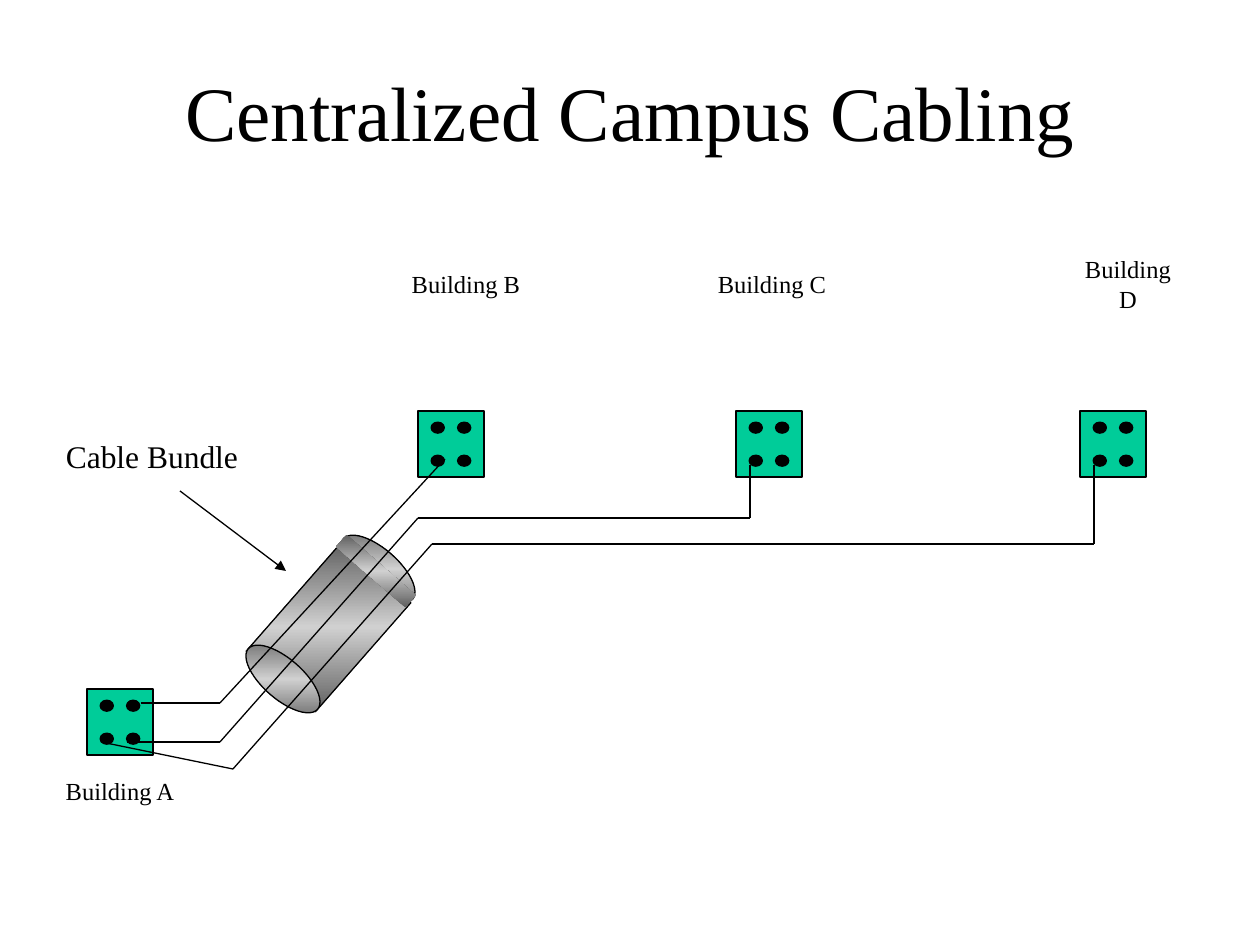
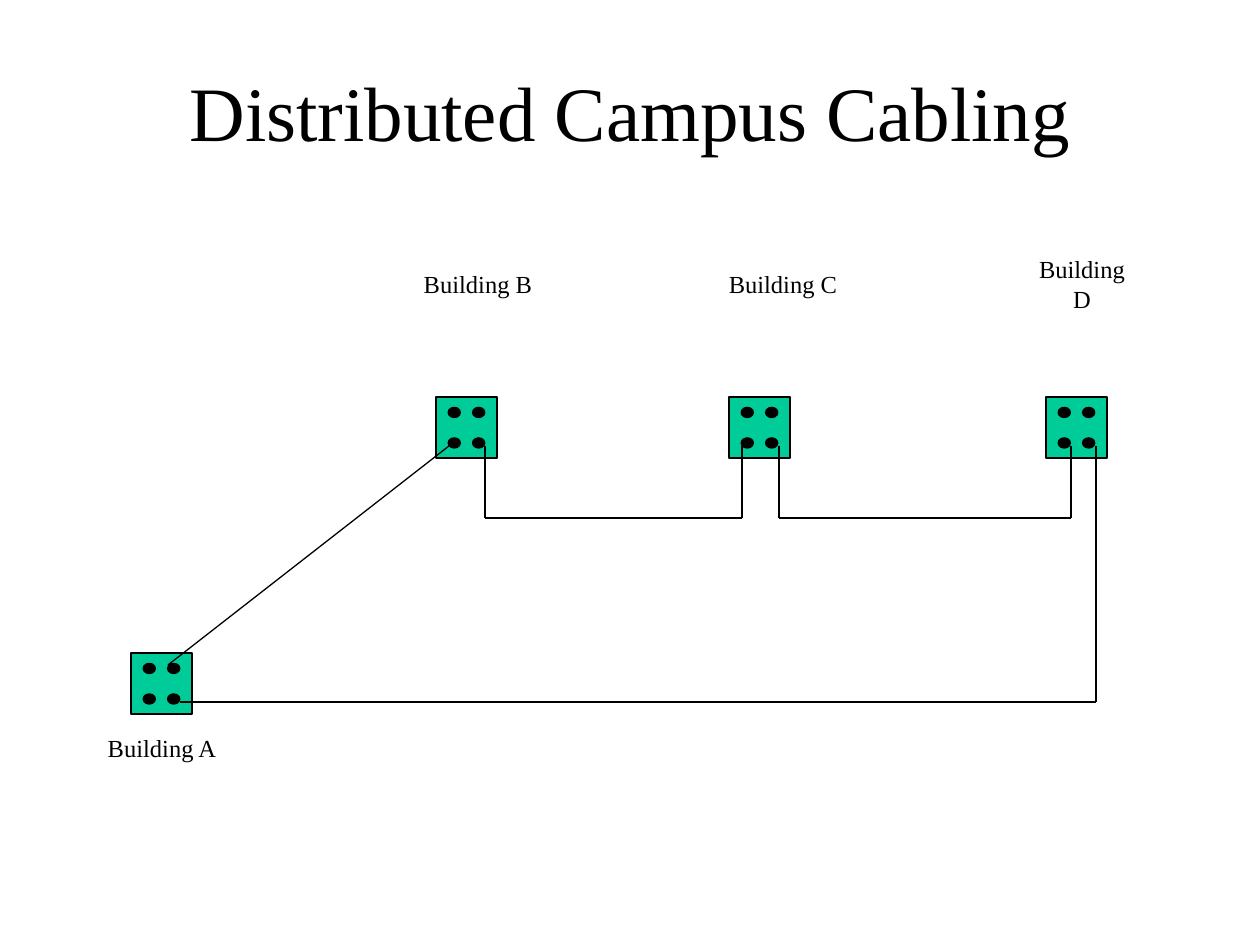
import itertools

import lxml.etree
import pptx
import pptx.dml.color
import pptx.enum.shapes
import pptx.enum.text
import pptx.oxml
import pptx.oxml.ns
import pptx.util

EMU_PER_PX = 914400 / 126
FONT = "Times New Roman"
BLACK, GREEN = "000000", "00CC99"
STEEL_DARK, STEEL_LIGHT = "606060", "D0D0D0"
LINE_WIDTH = pptx.util.Pt(0.75)
SHAPES = pptx.enum.shapes.MSO_SHAPE


def color(hex_string):
    return pptx.dml.color.RGBColor.from_string(hex_string)


def emu(*lengths):
    return [round(length * EMU_PER_PX) for length in lengths]


# Title, box size, then buildings as (letter, box corner, label corner),
# cables as chains of points
SLIDES = [
    {
        "title": "Centralized Campus Cabling",
        "box_size": 66,
        "buildings": [
            ("A", (87, 689), (53, 769)),
            ("B", (418, 411), (399, 262)),
            ("C", (736, 411), (705, 262)),
            ("D", (1080, 411), (1061, 262)),
        ],
        "cables": [
            [(141, 703), (220, 703), (445, 459)],
            [(127, 742), (220, 742), (418, 518), (750, 518), (750, 465)],
            [(101, 742), (233, 769), (432, 544), (1094, 544), (1094, 465)],
        ],
        # Parts as (preset, box, outlined), from back to front
        "bundle": [
            (SHAPES.OVAL, (358, 523, 40, 92), True),
            (SHAPES.RECTANGLE, (256, 581, 145, 92), True),
            (SHAPES.OVAL, (263, 633, 40, 92), True),
            (SHAPES.RECTANGLE, (368, 525, 16, 92), False),
        ],
        "callouts": [("Cable Bundle", (53, 431, 198, 50), 18)],
        "arrows": [[(180, 491), (286, 571)]],
    },
    {
        "title": "Distributed Campus Cabling",
        "box_size": 61,
        "buildings": [
            ("A", (131, 653), (95, 726)),
            ("B", (436, 397), (411, 262)),
            ("C", (729, 397), (716, 262)),
            ("D", (1046, 397), (1015, 262)),
        ],
        "cables": [
            [(168, 665), (449, 446)],
            [(485, 446), (485, 518), (742, 518), (742, 446)],
            [(779, 446), (779, 518), (1071, 518), (1071, 446)],
            [(1096, 446), (1096, 702), (180, 702)],
        ],
        "bundle": [],
        "callouts": [],
        "arrows": [],
    },
]

# Steel gradient that stays level when its shape is turned
STEEL_GRADIENT = (
    f'<a:gradFill {pptx.oxml.ns.nsdecls("a")} rotWithShape="0"><a:gsLst>'
    f'<a:gs pos="0"><a:srgbClr val="{STEEL_DARK}"/></a:gs>'
    f'<a:gs pos="50000"><a:srgbClr val="{STEEL_LIGHT}"/></a:gs>'
    f'<a:gs pos="100000"><a:srgbClr val="{STEEL_DARK}"/></a:gs>'
    '</a:gsLst><a:lin ang="5400000" scaled="0"/></a:gradFill>'
)

deck = pptx.Presentation()
deck.slide_width, deck.slide_height = emu(1260, 945)

for content in SLIDES:
    page = deck.slides.add_slide(deck.slide_layouts[6])

    # Title, building labels and callouts
    texts = [(content["title"], (95, 32, 1071, 158), 44)]
    for letter, corner, label_corner in content["buildings"]:
        texts.append((f"Building {letter}", (*label_corner, 134, 43), 14))
    for text, place, size in texts + content["callouts"]:
        box = page.shapes.add_textbox(*emu(*place))
        box.text_frame.word_wrap = False
        box.text_frame.vertical_anchor = pptx.enum.text.MSO_ANCHOR.MIDDLE
        para = box.text_frame.paragraphs[0]
        para.text = text
        para.alignment = pptx.enum.text.PP_ALIGN.CENTER
        para.font.name = FONT
        para.font.size = pptx.util.Pt(size)
        para.font.color.rgb = color(BLACK)

    # Building boxes, each with two by two ports
    size = content["box_size"]
    solids = []
    for letter, (left, top), label_corner in content["buildings"]:
        solids.append((SHAPES.RECTANGLE, (left, top, size, size), GREEN))
        for across, down in itertools.product((0.2, 0.6), (0.17, 0.67)):
            port = (left + across * size, top + down * size, size / 5, size / 6)
            solids.append((SHAPES.OVAL, port, BLACK))
    for preset, place, fill in solids:
        shape = page.shapes.add_shape(preset, *emu(*place))
        shape.shadow.inherit = False
        shape.fill.solid()
        shape.fill.fore_color.rgb = color(fill)
        shape.line.color.rgb = color(BLACK)
        shape.line.width = LINE_WIDTH

    # Cable bundle
    for preset, place, outlined in content["bundle"]:
        part = page.shapes.add_shape(preset, *emu(*place))
        part.rotation = 311.2
        part.shadow.inherit = False
        part.element.spPr.insert(2, pptx.oxml.parse_xml(STEEL_GRADIENT))
        if outlined:
            part.line.color.rgb = color(BLACK)
            part.line.width = LINE_WIDTH
        else:
            part.line.fill.background()

    # Cables and arrows
    for chain in content["cables"] + content["arrows"]:
        for start, end in itertools.pairwise(chain):
            line = page.shapes.add_connector(
                pptx.enum.shapes.MSO_CONNECTOR.STRAIGHT, *emu(*start, *end))
            line.line.color.rgb = color(BLACK)
            line.line.width = LINE_WIDTH
            properties = line.element.spPr
            if chain in content["arrows"]:
                outline = properties.find(pptx.oxml.ns.qn("a:ln"))
                lxml.etree.SubElement(
                    outline, pptx.oxml.ns.qn("a:tailEnd"), type="triangle")
            lxml.etree.SubElement(properties, pptx.oxml.ns.qn("a:effectLst"))

deck.save("out.pptx")
